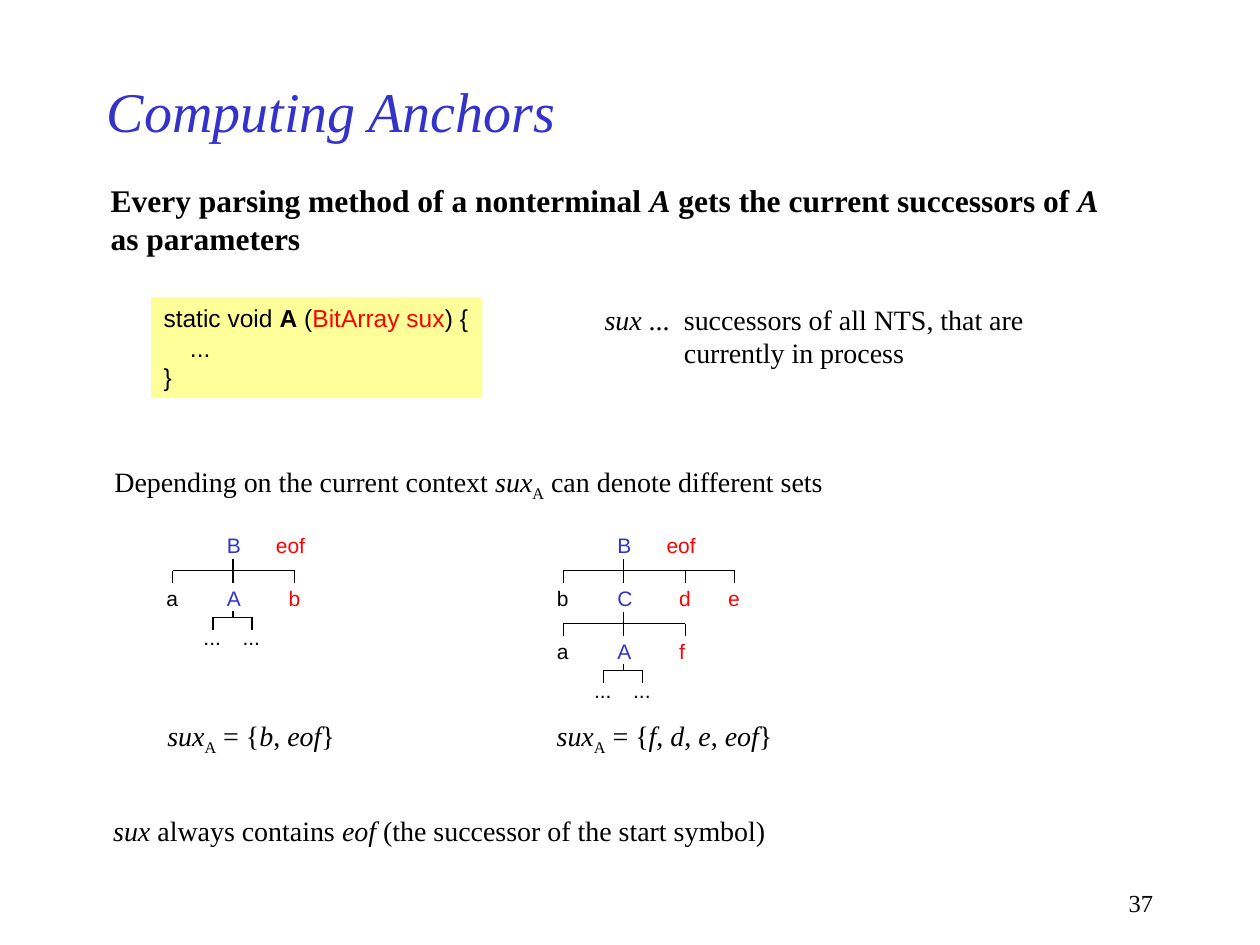
import pptx
import pptx.dml.color
import pptx.enum.shapes
import pptx.enum.text
import pptx.util
from lxml import etree
from pptx.oxml.ns import qn

Inches = pptx.util.Inches
BLACK, BLUE, RED, YELLOW = "000000", "3333CC", "FF0000", "FFFF99"
SERIF, SANS = "Times New Roman", "Arial"
ITALIC, BOLD, PLAIN = {"italic": True}, {"bold": True}, {}
BOLD_ITALIC = {**BOLD, **ITALIC}
SUB = {"baseline": -25}

# Content: each text is a list of paragraphs, each paragraph a list of runs
SUX_A = [("sux", ITALIC), ("A", SUB)]


def anchor_set(*symbols):
    runs = SUX_A + [(" = {", PLAIN)]
    for index, symbol in enumerate(symbols):
        runs += [(", ", PLAIN)] if index else []
        runs.append((symbol, ITALIC))
    return [runs + [("}", PLAIN)]]


TITLE = [[("Computing Anchors", ITALIC)]]
CLAIM = [
    [("Every parsing method of a nonterminal ", BOLD), ("A", BOLD_ITALIC),
     (" gets the current successors of ", BOLD), ("A", BOLD_ITALIC)],
    [("as parameters", BOLD)],
]
CODE = [
    [("static void ", PLAIN), ("A", BOLD), (" (", PLAIN),
     ("BitArray sux", {"color": RED}), (") {", PLAIN)],
    [("\t...", PLAIN)],
    [("}", PLAIN)],
]
MEANING = [
    [("sux", ITALIC), (" ...\tsuccessors of all NTS, that are", PLAIN)],
    [("\tcurrently in process", PLAIN)],
]
CONTEXT = [[("Depending on the current context ", PLAIN), *SUX_A,
            (" can denote different sets", PLAIN)]]
ENDING = [[("sux", ITALIC), (" always contains ", PLAIN), ("eof", ITALIC),
           (" (the successor of the start symbol)", PLAIN)]]

# text, (left, top, width, height), format
BOXES = [
    (TITLE, (0.75, 0.5, 7.5, 0.75),
     {"size": 32, "color": BLUE, "wrap": True, "middle": True}),
    (CLAIM, (0.78, 1.39, 8.06, 0.7), {"size": 18}),
    (CODE, (1.2, 2.36, 2.63, 0.8),
     {"size": 14, "name": SANS, "fill": YELLOW, "tab": 0.21}),
    (MEANING, (4.7, 2.35, 3.56, 0.64), {"tab": 0.63}),
    (CONTEXT, (0.81, 3.64, 5.84, 0.41), {}),
    (anchor_set("b", "eof"), (1.23, 5.65, 1.55, 0.41), {}),
    (anchor_set("f", "d", "e", "eof"), (4.32, 5.65, 1.93, 0.41), {}),
    (ENDING, (0.8, 6.41, 5.41, 0.37), {}),
    ([[("37", PLAIN)]], (7.17, 7, 2.08, 0.33),
     {"size": 14, "wrap": True, "right": True}),
]

# Syntax trees: left edge and the rows of children below the root B
TREES = [
    (1.37, [[("a", BLACK), ("A", BLUE), ("b", RED)]]),
    (4.47, [[("b", BLACK), ("C", BLUE), ("d", RED), ("e", RED)],
            [("a", BLACK), ("A", BLUE), ("f", RED)]]),
]
COLUMNS = (0, 0.48, 0.97, 1.36)
ELLIPSIS_COLUMNS = (0.32, 0.63)
EOF_COLUMN = 0.95
ROOT_TOP, ROW_PITCH, LABEL_HEIGHT = 4.23, 0.42, 0.2
LABEL_WIDTHS = {"A": 0.12, "B": 0.12, "C": 0.13, "f": 0.06,
                "eof": 0.26, "...": 0.15}

presentation = pptx.Presentation()
presentation.slide_width, presentation.slide_height = Inches(10), Inches(7.5)
slide = presentation.slides.add_slide(presentation.slide_layouts[6])


def rgb(color):
    return pptx.dml.color.RGBColor.from_string(color)


def add_text(paragraphs, place, size=16, name=SERIF, color=BLACK, fill=None,
             tab=None, wrap=False, middle=False, right=False,
             margins=(0.1, 0.05)):
    shape = slide.shapes.add_textbox(*map(Inches, place))
    if fill:
        shape.fill.solid()
        shape.fill.fore_color.rgb = rgb(fill)
    frame = shape.text_frame
    across, down = map(Inches, margins)
    sizing = pptx.enum.text.MSO_AUTO_SIZE
    settings = {
        "margin_left": across, "margin_right": across,
        "margin_top": down, "margin_bottom": down, "word_wrap": wrap,
        "auto_size": sizing.NONE if wrap else sizing.SHAPE_TO_FIT_TEXT,
        "vertical_anchor": (pptx.enum.text.MSO_ANCHOR.MIDDLE if middle
                            else pptx.enum.text.MSO_ANCHOR.TOP),
    }
    for key, value in settings.items():
        setattr(frame, key, value)
    for index, runs in enumerate(paragraphs):
        paragraph = frame.add_paragraph() if index else frame.paragraphs[0]
        if right:
            paragraph.alignment = pptx.enum.text.PP_ALIGN.RIGHT
        if tab:
            properties = paragraph._p.get_or_add_pPr()
            tabs = etree.SubElement(properties, qn("a:tabLst"))
            etree.SubElement(tabs, qn("a:tab"), pos=str(Inches(tab)), algn="l")
        for text, style in runs:
            run = paragraph.add_run()
            run.text = text
            values = {"size": pptx.util.Pt(size), "name": name,
                      "bold": style.get("bold", False),
                      "italic": style.get("italic", False)}
            for key, value in values.items():
                setattr(run.font, key, value)
            run.font.color.rgb = rgb(style.get("color", color))
            if "baseline" in style:
                run._r.get_or_add_rPr().set(
                    "baseline", str(style["baseline"] * 1000))


def add_label(text, center, top, color):
    width = LABEL_WIDTHS.get(text, 0.1)
    left = center - (0.05 if len(text) == 1 else width / 2)
    add_text([[(text, PLAIN)]], (left, top, width, LABEL_HEIGHT),
             size=12, name=SANS, color=color, margins=(0, 0))


def add_line(*ends):
    line = slide.shapes.add_connector(
        pptx.enum.shapes.MSO_CONNECTOR.STRAIGHT, *map(Inches, ends))
    line.line.color.rgb = rgb(BLACK)
    line.line.width = pptx.util.Pt(0.75)
    etree.SubElement(line._element.spPr, qn("a:effectLst"))


def add_branches(parent, parent_bottom, children, bar):
    add_line(parent, parent_bottom, parent, bar)
    add_line(children[0], bar, children[-1], bar)
    for child in children:
        add_line(child, bar, child, bar + 0.1)


# Text boxes
for paragraphs, place, formats in BOXES:
    add_text(paragraphs, place, **formats)

# Trees
for left, rows in TREES:
    trunk = left + COLUMNS[1]
    add_label("B", trunk, ROOT_TOP, BLUE)
    add_label("eof", left + EOF_COLUMN, ROOT_TOP, RED)
    for number, row in enumerate(rows, 1):
        top = ROOT_TOP + number * ROW_PITCH
        centers = [left + column for column in COLUMNS[:len(row)]]
        add_branches(trunk, top - 0.21, centers, top - 0.12)
        for (text, color), center in zip(row, centers):
            add_label(text, center, top, color)
    # Open subtree below A
    centers = [left + column for column in ELLIPSIS_COLUMNS]
    add_branches(trunk, top + 0.2, centers, top + 0.25)
    for center in centers:
        add_label("...", center, top + 0.31, BLACK)

presentation.save("out.pptx")
